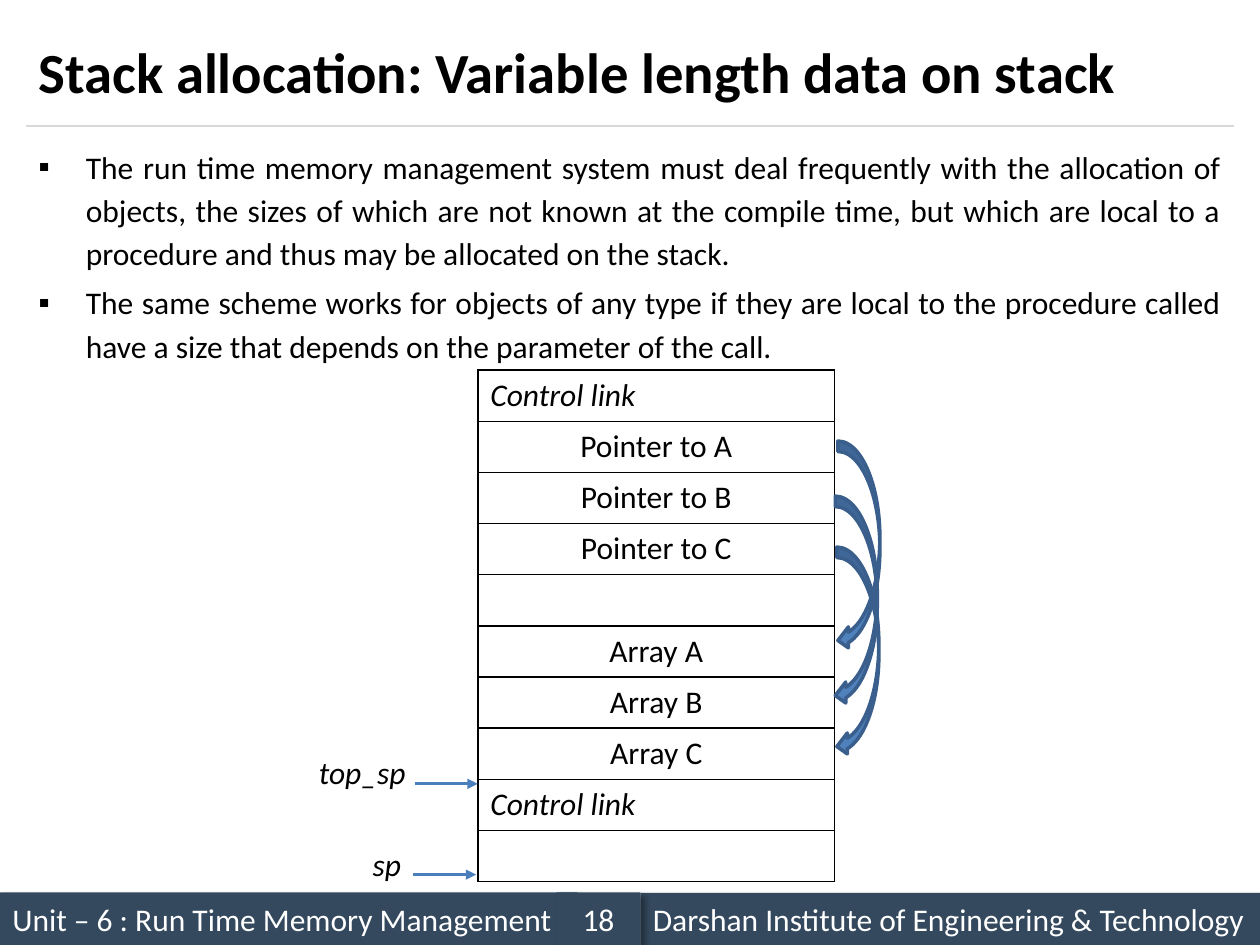
from lxml.etree import SubElement
from pptx import Presentation
from pptx.dml.color import RGBColor
from pptx.enum.shapes import MSO_CONNECTOR, MSO_SHAPE
from pptx.enum.text import MSO_ANCHOR, PP_ALIGN
from pptx.oxml import parse_xml
from pptx.oxml.ns import nsdecls, qn
from pptx.util import Inches, Pt

GRID = 24  # grid columns and rows per inch: the slide is 240 x 180
SHADOW = (f'<a:effectLst {nsdecls("a")}><a:outerShdw blurRad="50800" dist="38100" '
          'dir="2700000" algn="tl" rotWithShape="0"><a:srgbClr val="000000">'
          '<a:alpha val="40000"/></a:srgbClr></a:outerShdw></a:effectLst>')


def rgb(value):
    return RGBColor.from_string(value)


def u(n):
    return Inches(n / GRID)


class Deck:
    font = {"name": "Calibri", "size": Pt(18), "bold": False, "italic": False}
    black, white, navy, rule = "000000", "FFFFFF", "34495E", "D9D9D9"
    arrow, blue, blue_edge = "4B7EBC", "4F81BD", "3A5F8C"

    def __init__(self):
        self.prs = Presentation()
        self.prs.slide_width, self.prs.slide_height = u(240), u(180)
        self.s = self.prs.slides.add_slide(self.prs.slide_layouts[6])

    def put_run(self, p, text, align=PP_ALIGN.LEFT, color=black, **changes):
        p.alignment = align
        r = p.add_run()
        r.text = text
        for key, value in {**self.font, **changes}.items():
            setattr(r.font, key, value)
        r.font.color.rgb = rgb(color)

    def box(self, x, y, w, h, anchor=MSO_ANCHOR.MIDDLE):
        tf = self.s.shapes.add_textbox(u(x), u(y), u(w), u(h)).text_frame
        tf.word_wrap, tf.vertical_anchor = True, anchor
        return tf

    def text(self, x, y, w, h, text, **style):
        self.put_run(self.box(x, y, w, h).paragraphs[0], text, **style)

    def bullets(self, x, y, w, h, items):
        tf = self.box(x, y, w, h, MSO_ANCHOR.TOP)
        for i, item in enumerate(items):
            p = tf.add_paragraph() if i else tf.paragraphs[0]
            p.line_spacing = 1.14
            p.space_before = Pt(3.6 if i else 0)
            pPr = p._p.get_or_add_pPr()
            pPr.set("marL", str(u(9)))
            pPr.set("indent", str(-u(9)))
            SubElement(pPr, qn("a:buFont"), typeface="Calibri")
            SubElement(pPr, qn("a:buChar"), char="▪")
            self.put_run(p, item, PP_ALIGN.JUSTIFY)

    def shape(self, kind, x, y, w, h, fill):
        sp = self.s.shapes.add_shape(kind, u(x), u(y), u(w), u(h))
        sp.shadow.inherit = False
        sp.fill.solid()
        sp.fill.fore_color.rgb = rgb(fill)
        return sp

    def footer(self, x, y, w, text, align=PP_ALIGN.LEFT):
        sp = self.shape(MSO_SHAPE.RECTANGLE, x, y, w, 10, self.navy)
        sp.line.fill.background()
        spPr = sp._element.spPr
        spPr.replace(spPr.find(qn("a:effectLst")), parse_xml(SHADOW))
        tf = sp.text_frame
        tf.word_wrap, tf.vertical_anchor = True, MSO_ANCHOR.MIDDLE
        self.put_run(tf.paragraphs[0], text, align, self.white)

    def curved_arrow(self, x, y):
        sp = self.shape(MSO_SHAPE.CURVED_LEFT_ARROW, x, y, 8, 40, self.blue)
        sp.line.color.rgb, sp.line.width = rgb(self.blue_edge), Pt(2)

    def line(self, x1, x2, y, color, width, head=False):
        c = self.s.shapes.add_connector(MSO_CONNECTOR.STRAIGHT, u(x1), u(y), u(x2), u(y))
        c.line.color.rgb, c.line.width = rgb(color), Pt(width)
        spPr = c._element.spPr
        if head:
            SubElement(spPr.find(qn("a:ln")), qn("a:tailEnd"), type="triangle")
        SubElement(spPr, qn("a:effectLst"))

    def border(self, cell):
        tcPr = cell._tc.get_or_add_tcPr()
        for i, side in enumerate(("lnL", "lnR", "lnT", "lnB")):
            tcPr.insert(i, parse_xml(
                f'<a:{side} {nsdecls("a")} w="12700"><a:solidFill>'
                f'<a:srgbClr val="{self.black}"/></a:solidFill></a:{side}>'))

    def stack(self, x, y, w, row_h, labels):
        table = self.s.shapes.add_table(
            len(labels), 1, u(x), u(y), u(w), u(row_h * len(labels))).table
        table.first_row = table.horz_banding = False
        for i, label in enumerate(labels):
            table.rows[i].height = u(row_h)
            cell = table.cell(i, 0)
            cell.fill.background()
            self.border(cell)
            if label:
                link = label == "Control link"
                self.put_run(cell.text_frame.paragraphs[0], label,
                             PP_ALIGN.LEFT if link else PP_ALIGN.CENTER, italic=link)


def main():
    d = Deck()

    # Footer bar and title rule
    d.footer(0, 170, 110, "Unit – 6 : Run Time Memory Management")
    d.line(5, 235, 24, d.rule, 0.75)
    d.footer(122, 170.1, 118, "Darshan Institute of Engineering & Technology")
    d.footer(106, 170, 16, "18", PP_ALIGN.CENTER)

    # Title and body
    d.text(5, 3, 230, 21, "Stack allocation: Variable length data on stack",
           size=Pt(32.4), bold=True)
    d.bullets(5, 26, 230, 140, [
        "The run time memory management system must deal frequently with the "
        "allocation of objects, the sizes of which are not known at the compile "
        "time, but which are local to a procedure and thus may be allocated on "
        "the stack.",
        "The same scheme works for objects of any type if they are local to the "
        "procedure called have a size that depends on the parameter of the call.",
    ])

    # Activation record
    names = "ABC"
    d.stack(91, 70.5, 68, 9.75, [
        "Control link", *(f"Pointer to {n}" for n in names), "",
        *(f"Array {n}" for n in names), "Control link", ""])

    # Stack pointers
    for label, x, y, x1, arrow_y in (("top_sp", 56, 142, 79, 149.3),
                                     ("sp", 60.7, 159.6, 78.7, 166.6)):
        d.text(x, y, 26, 10, label, align=PP_ALIGN.CENTER, italic=True)
        d.line(x1, x1 + 12, arrow_y, d.arrow, 1.75, head=True)

    # Arrows from each pointer to its array
    for x, y in ((159.6, 84), (159.1, 94.5), (159.4, 104.2)):
        d.curved_arrow(x, y)

    d.prs.save("out.pptx")


if __name__ == "__main__":
    main()
